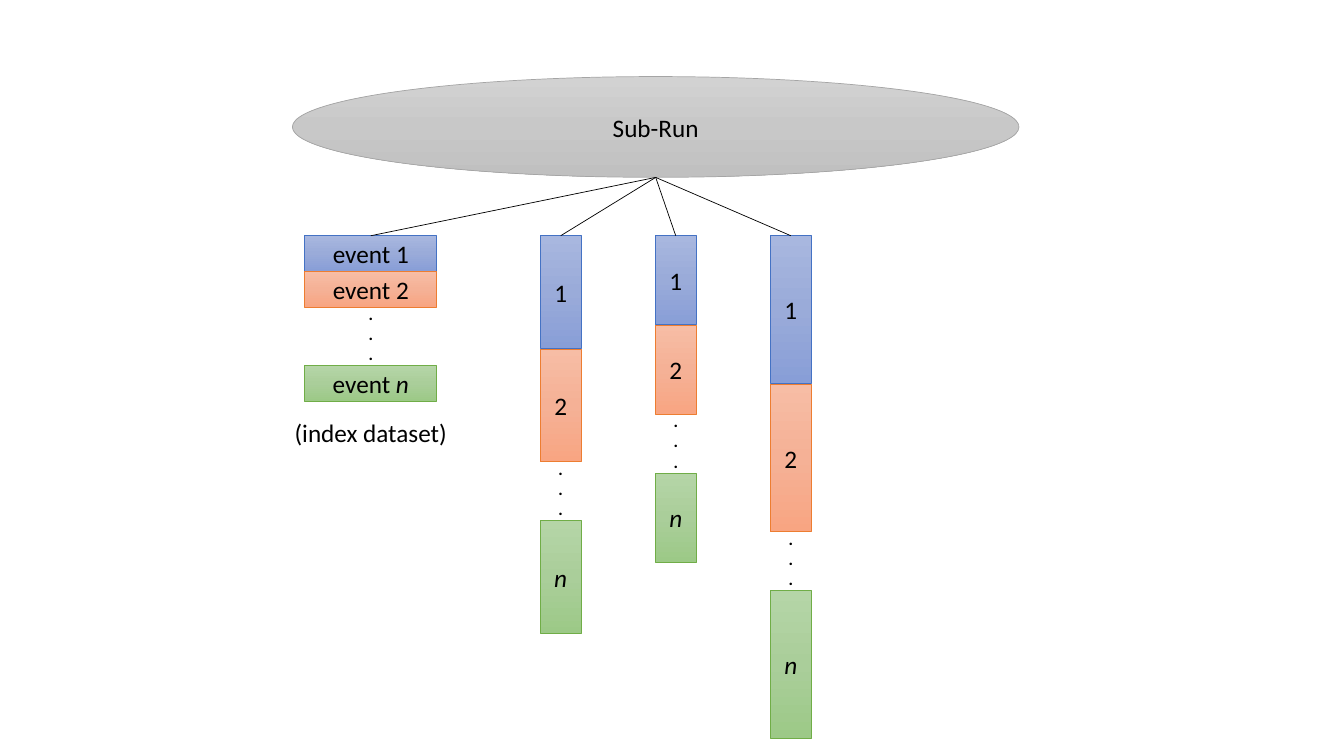
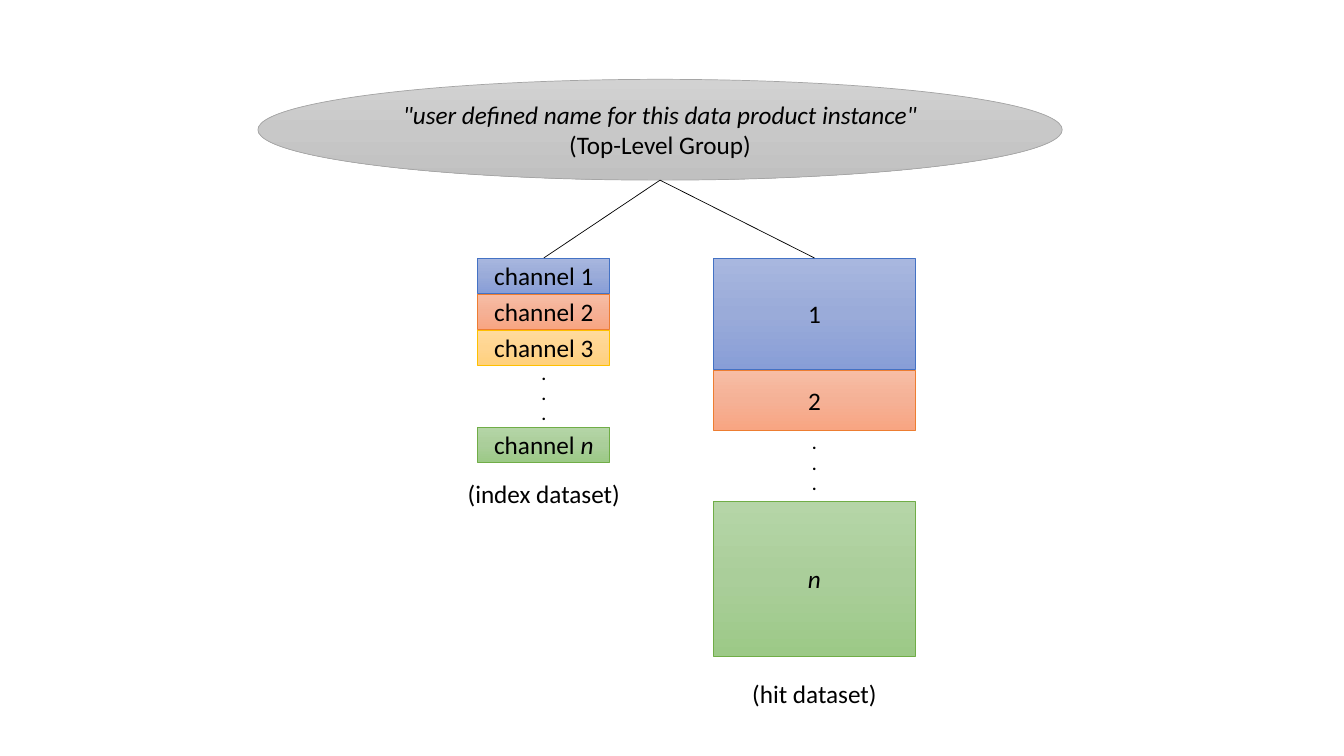
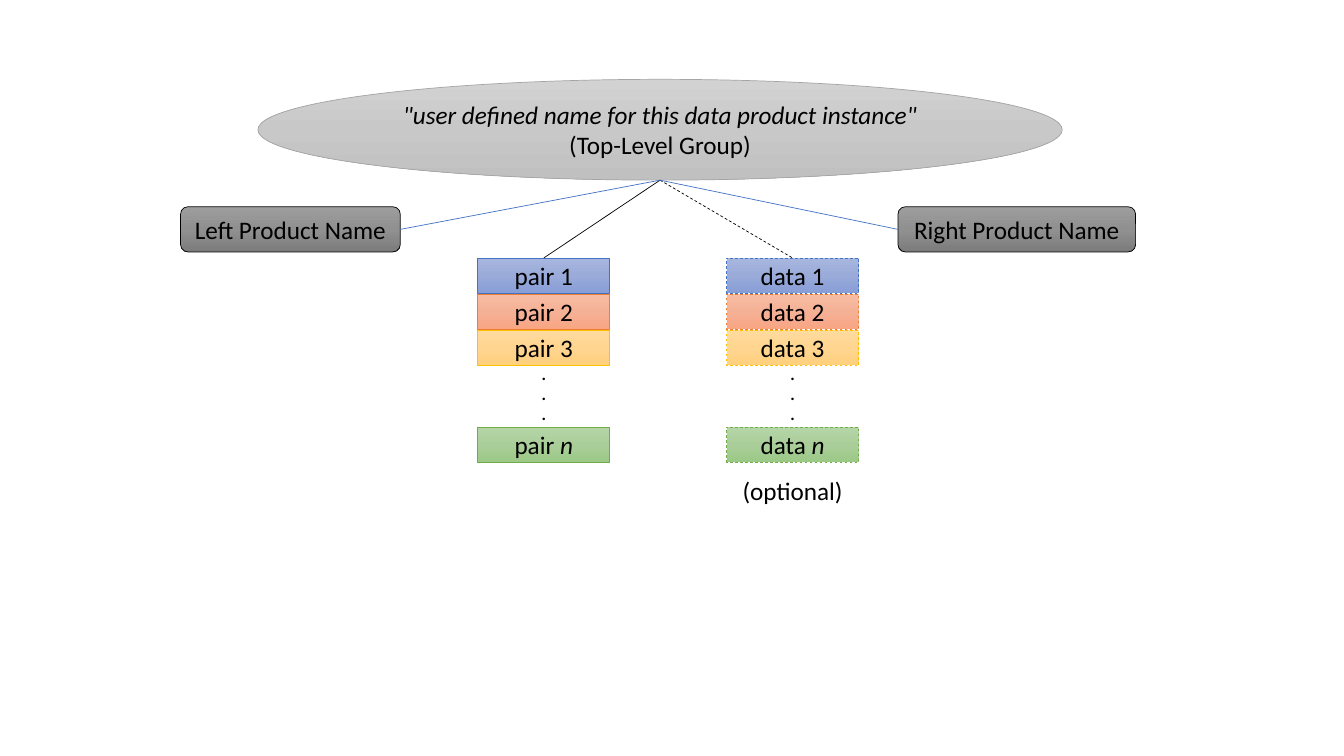
from copy import deepcopy

from pptx import Presentation
from pptx.dml.color import RGBColor
from pptx.enum.dml import MSO_LINE
from pptx.enum.shapes import MSO_CONNECTOR, MSO_SHAPE
from pptx.enum.text import MSO_ANCHOR, PP_ALIGN
from pptx.oxml.ns import qn
from pptx.oxml.xmlchemy import OxmlElement
from pptx.util import Cm, Pt

ELLIPSE = MSO_SHAPE.OVAL
RECTANGLE = MSO_SHAPE.RECTANGLE
ROUNDED = MSO_SHAPE.ROUNDED_RECTANGLE
STRAIGHT = MSO_CONNECTOR.STRAIGHT
DASH = MSO_LINE.DASH
CENTER = PP_ALIGN.CENTER
MIDDLE = MSO_ANCHOR.MIDDLE

BLACK = RGBColor(0x00, 0x00, 0x00)
BLUE_LINE = RGBColor(0x44, 0x72, 0xC4)


def palette(line, *stops):
    """Outline colour and the gradient colours from top to bottom."""
    return line, [RGBColor.from_string(stop) for stop in stops]


BLUE = palette(BLUE_LINE, "A8B7DF", "9AABD9", "889ED7")
ORANGE = palette(RGBColor(0xED, 0x7D, 0x31), "F7BDA5", "F5B196", "F8A582")
GOLD = palette(RGBColor(0xFF, 0xC0, 0x00), "FFDB9E", "FFD590", "FFD07C")
GREEN = palette(RGBColor(0x70, 0xAD, 0x47), "B5D5A7", "AACE9A", "9CC987")
GRAY = palette(RGBColor(0xA5, 0xA5, 0xA5), "D2D2D2", "C8C8C8", "C0C0C0")
DARK_GRAY = palette(BLACK, "9D9D9D", "909090", "7C7C7C")

# Shared measures in centimetres
ROW_HEIGHT = 0.89
ROW_WIDTH = 3.33
ROW_SPACING = 0.02
DOTS_HEIGHT = 1.8
GROUP_HEIGHT = 2.54


class Diagram:
    font = "Calibri"
    line_width = Pt(0.5)

    def __init__(self, presentation):
        self.presentation = presentation
        self.slide = None

    def new_slide(self):
        self.slide = self.presentation.slides.add_slide(
            self.presentation.slide_layouts[6])

    def format_text(self, text_frame, size=18, bold=False):
        text_frame.word_wrap = True
        for paragraph in text_frame.paragraphs:
            paragraph.alignment = CENTER
            for run in paragraph.runs:
                run.font.name = self.font
                run.font.size = Pt(size)
                run.font.bold = bold
                run.font.color.rgb = BLACK

    def format_line(self, line, color, dashed):
        line.color.rgb = color
        line.width = self.line_width
        if dashed:
            line.dash_style = DASH

    def box(self, kind, left, top, width, height, colors, text,
            italic_end="", dashed=False):
        shape = self.slide.shapes.add_shape(
            kind, Cm(left), Cm(top), Cm(width), Cm(height))
        shape.shadow.inherit = False
        line_color, stop_colors = colors
        self.format_line(shape.line, line_color, dashed)

        # Gradient with a middle stop
        shape.fill.gradient()
        shape.fill.gradient_angle = 270
        stop_list = shape._element.spPr.find(qn("a:gradFill")).find(qn("a:gsLst"))
        stop_list.insert(1, deepcopy(stop_list[0]))
        for index, stop in enumerate(shape.fill.gradient_stops):
            stop.position = index / 2
            stop.color.rgb = stop_colors[index]

        text_frame = shape.text_frame
        text_frame.text = text
        text_frame.vertical_anchor = MIDDLE
        if italic_end:
            run = text_frame.paragraphs[0].add_run()
            run.text = italic_end
            run.font.italic = True
        self.format_text(text_frame)
        return shape

    def label(self, left, top, width, height, text, size=18, bold=False):
        text_box = self.slide.shapes.add_textbox(
            Cm(left), Cm(top), Cm(width), Cm(height))
        text_box.text_frame.text = text
        self.format_text(text_box.text_frame, size, bold)

    def caption(self, center, top, text):
        width = 4.67
        self.label(center - width / 2, top, width, 1.02, text)

    def connect(self, start, end, color=BLACK, dashed=False):
        connector = self.slide.shapes.add_connector(
            STRAIGHT, *(Cm(value) for value in start + end))
        self.format_line(connector.line, color, dashed)
        connector._element.spPr.append(OxmlElement("a:effectLst"))

    def group(self, left, top, width, text):
        """Draw the top ellipse; return it and its lowest point."""
        shape = self.box(ELLIPSE, left, top, width, GROUP_HEIGHT, GRAY, text)
        return shape, (left + width / 2, top + GROUP_HEIGHT)

    def named_group(self):
        shape, bottom = self.group(
            6.5, 2, 20.27,
            '"user defined name for this data product instance"\v(Top-Level Group)')
        shape.text_frame.paragraphs[0].runs[0].font.italic = True
        return bottom

    def stack(self, parent, left, top, width, heights, prefix="", gap=1.48,
              dashed=False):
        """Draw numbered cells, dots and cell n; return centre and bottom."""
        y = top
        for number, (height, colors) in enumerate(
                zip(heights[:-1], (BLUE, ORANGE, GOLD)), start=1):
            self.box(RECTANGLE, left, y, width, height, colors,
                     f"{prefix}{number}", dashed=dashed)
            y += height + ROW_SPACING
        y -= ROW_SPACING
        self.label(left, y + (gap - DOTS_HEIGHT) / 2 - 0.05, width, DOTS_HEIGHT,
                   ".\n.\n.", size=12, bold=True)
        y += gap
        self.box(RECTANGLE, left, y, width, heights[-1], GREEN, prefix, "n", dashed)
        center = left + width / 2
        self.connect(parent, (center, top), dashed=dashed)
        return center, y + heights[-1]


presentation = Presentation()
presentation.slide_width = Cm(33.87)
presentation.slide_height = Cm(19.05)
diagram = Diagram(presentation)

# Slide 1: sub-run with an index and three datasets
diagram.new_slide()
_, sub_run = diagram.group(7.37, 1.93, 18.31, "Sub-Run")
DATASET_TOP = 5.94
center, bottom = diagram.stack(
    sub_run, 7.68, DATASET_TOP, ROW_WIDTH, [ROW_HEIGHT] * 3, "event ")
diagram.caption(center, bottom + 0.28, "(index dataset)")
for column, cell_height in enumerate((2.84, 2.24, 3.72)):
    diagram.stack(sub_run, 13.61 + column * 2.9, DATASET_TOP, 1.04,
                  [cell_height] * 3)

# Slide 2: channel index and hits
LIST_TOP = 6.5
LIST_LEFT = 12.04
LIST_HEIGHTS = [ROW_HEIGHT] * 4
LIST_GAP = 1.55
diagram.new_slide()
top_group = diagram.named_group()
center, bottom = diagram.stack(
    top_group, LIST_LEFT, LIST_TOP, ROW_WIDTH, LIST_HEIGHTS, "channel ", LIST_GAP)
diagram.caption(center, bottom + 0.28, "(index dataset)")
center, bottom = diagram.stack(
    top_group, 17.98, LIST_TOP, 5.09, [2.82, 1.5, 3.89], gap=1.8)
diagram.caption(center, bottom + 0.43, "(hit dataset)")

# Slide 3: pairs with optional data, and the two product names
diagram.new_slide()
top_group = diagram.named_group()
diagram.stack(
    top_group, LIST_LEFT, LIST_TOP, ROW_WIDTH, LIST_HEIGHTS, "pair ", LIST_GAP)
center, bottom = diagram.stack(
    top_group, 18.31, LIST_TOP, ROW_WIDTH, LIST_HEIGHTS, "data ", LIST_GAP,
    dashed=True)
diagram.caption(center, bottom + 0.2, "(optional)")
for left, width, inner_edge, side in (
        (4.55, 5.54, 10.09, "Left"), (22.63, 5.99, 22.63, "Right")):
    diagram.box(ROUNDED, left, 5.21, width, 1.14, DARK_GRAY, f"{side} Product Name")
    diagram.connect(top_group, (inner_edge, 5.78), BLUE_LINE)

presentation.save("out.pptx")
